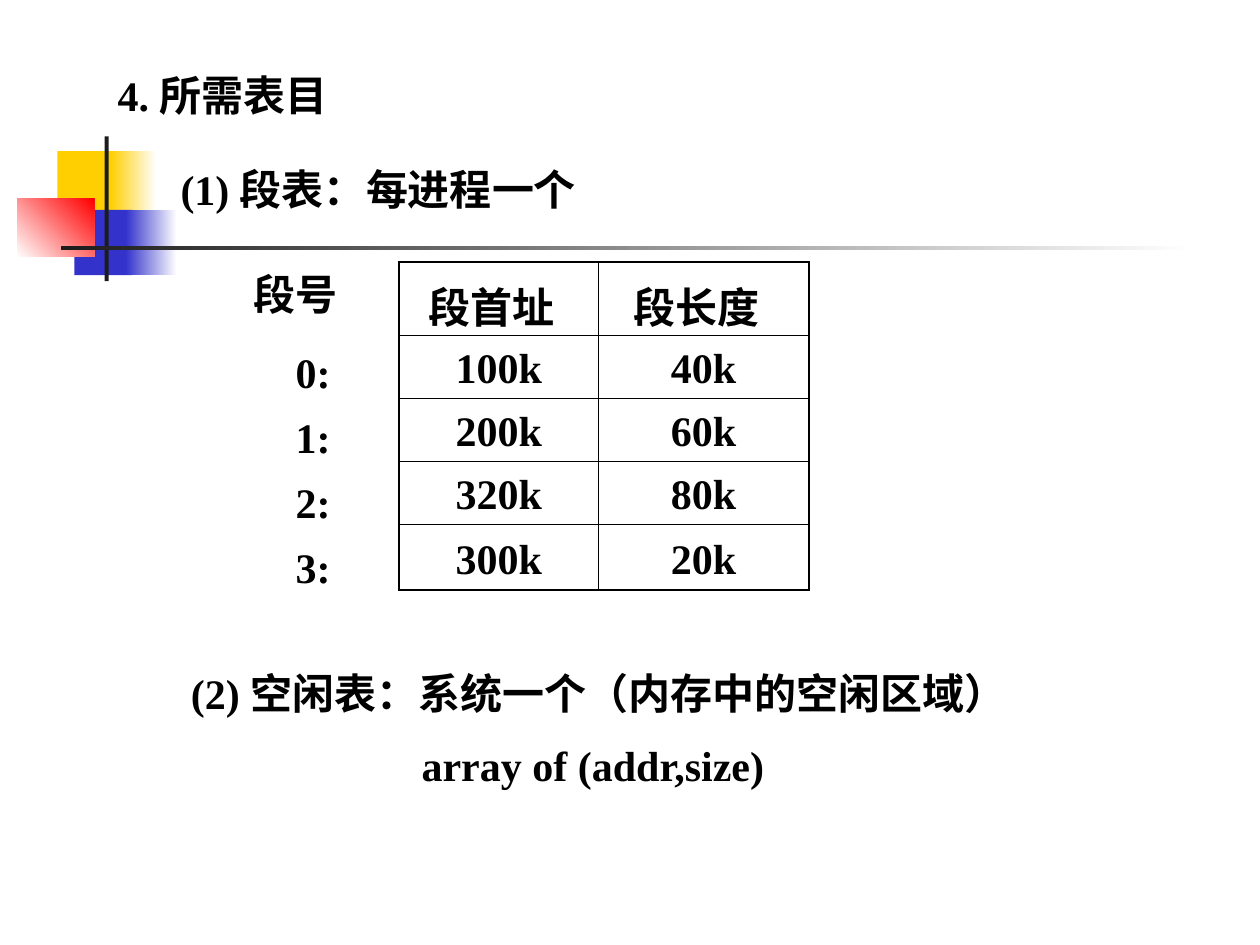
from typing import NamedTuple

from lxml import etree
from pptx import Presentation
from pptx import util as u
from pptx.dml.color import RGBColor
from pptx.enum import shapes, text
from pptx.oxml.ns import qn

FONT = "Times New Roman"
BLACK, WHITE = "000000", "FFFFFF"
YELLOW, BLUE, RED, CHARCOAL = "FFCF01", "3333CC", "FF0000", "1C1C1C"


class Block(NamedTuple):
    """A rectangle in cm; a second colour makes its fill a gradient."""
    left: float
    top: float
    width: float
    height: float
    start: str
    end: str | None = None
    angle: float = 0


class Passage(NamedTuple):
    """Lines of text in a box in cm; indents holds one value per line."""
    left: float
    top: float
    width: float
    height: float
    lines: list[str]
    indents: list[float]
    spacing: float = 1.0
    gap: float = 12


ORNAMENT = [
    Block(1.16, 3.05, 1.22, 1.32, YELLOW),
    Block(2.23, 3.05, 0.92, 1.32, YELLOW, WHITE),
    Block(1.5, 4.23, 1.17, 1.32, BLUE),
    Block(2.54, 4.23, 1.02, 1.32, BLUE, WHITE),
    Block(0.35, 4.01, 1.55, 1.17, WHITE, RED, 45),
    Block(2.11, 2.75, 0.08, 2.92, CHARCOAL),
    Block(1.23, 4.95, 22.86, 0.09, CHARCOAL, WHITE),
]

PASSAGES = [
    Passage(2.12, 1.27, 11, 1.27, ["4. 所需表目"], [0]),
    Passage(3.39, 3.18, 10.16, 1.27, ["(1) 段表：每进程一个"], [0]),
    Passage(4.87, 5.29, 2.97, 1.27, ["段号"], [0]),
    Passage(5.08, 7.06, 2.54, 5.03, [f"{n}:" for n in range(4)], [0.63] * 4, 0.8, 14),
    Passage(3.6, 13.34, 18.2, 2.82,
            ["(2) 空闲表：系统一个（内存中的空闲区域）", "array of (addr,size)"], [0, 4.65]),
]

SEGMENTS = [
    ("段首址", "段长度"),
    ("100k", "40k"),
    ("200k", "60k"),
    ("320k", "80k"),
    ("300k", "20k"),
]
COLUMN_WIDTHS = [4.03, 4.23]
ROW_HEIGHTS = [1.48, 1.27, 1.27, 1.27, 1.32]


def color(value: str) -> RGBColor:
    return RGBColor.from_string(value)


def style(paragraph) -> None:
    for run in paragraph.runs:
        run.font.name = FONT
        run.font.size = u.Pt(24)
        run.font.bold = True
        run.font.color.rgb = color(BLACK)


def draw_block(slide, block: Block) -> None:
    shape = slide.shapes.add_shape(shapes.MSO_SHAPE.RECTANGLE, *map(u.Cm, block[:4]))
    shape.shadow.inherit = False
    shape.line.fill.background()
    if block.end is None:
        shape.fill.solid()
        shape.fill.fore_color.rgb = color(block.start)
        return
    shape.fill.gradient()
    shape.fill.gradient_angle = block.angle
    for stop, value in zip(shape.fill.gradient_stops, (block.start, block.end)):
        stop.color.rgb = color(value)


def draw_passage(slide, passage: Passage) -> None:
    frame = slide.shapes.add_textbox(*map(u.Cm, passage[:4])).text_frame
    frame.word_wrap = True
    frame.text = "\n".join(passage.lines)
    for i, (paragraph, indent) in enumerate(zip(frame.paragraphs, passage.indents)):
        paragraph._p.get_or_add_pPr().set("marL", str(u.Cm(indent)))
        paragraph.line_spacing = passage.spacing
        if i:
            paragraph.space_before = u.Pt(passage.gap)
        style(paragraph)


def set_border(cell, side: str, points: float) -> None:
    """Add a black line on one side: L, R, T or B, called in that order."""
    line = etree.SubElement(cell._tc.get_or_add_tcPr(), qn(f"a:ln{side}"), w=str(u.Pt(points)))
    fill = etree.SubElement(line, qn("a:solidFill"))
    etree.SubElement(fill, qn("a:srgbClr"), val=BLACK)


def draw_segment_table(slide, left: float, top: float) -> None:
    rows, columns = len(SEGMENTS), len(COLUMN_WIDTHS)
    table = slide.shapes.add_table(
        rows, columns, u.Cm(left), u.Cm(top),
        u.Cm(sum(COLUMN_WIDTHS)), u.Cm(sum(ROW_HEIGHTS))).table
    table.first_row = table.horz_banding = False
    for column, width in zip(table.columns, COLUMN_WIDTHS):
        column.width = u.Cm(width)
    for r, (row, height) in enumerate(zip(table.rows, ROW_HEIGHTS)):
        row.height = u.Cm(height)
        for c, cell in enumerate(row.cells):
            header = r == 0
            cell.margin_left = cell.margin_top = 0
            cell.margin_right = u.Cm(0.3 if header else 0)
            cell.margin_bottom = u.Cm(0 if header else 0.13)
            cell.vertical_anchor = text.MSO_ANCHOR.BOTTOM
            outer = {"L": c == 0, "R": c == columns - 1, "T": header, "B": r == rows - 1}
            for side, is_outer in outer.items():
                set_border(cell, side, 1.25 if is_outer else 0.75)
            cell.fill.solid()
            cell.fill.fore_color.rgb = color(WHITE)
            cell.text_frame.text = SEGMENTS[r][c]
            paragraph = cell.text_frame.paragraphs[0]
            paragraph.alignment = text.PP_ALIGN.CENTER
            style(paragraph)


def main() -> None:
    deck = Presentation()
    deck.slide_width, deck.slide_height = u.Cm(25.4), u.Cm(19.05)
    slide = deck.slides.add_slide(deck.slide_layouts[6])
    for block in ORNAMENT:
        draw_block(slide, block)
    draw_segment_table(slide, 8.04, 5.29)
    for passage in PASSAGES:
        draw_passage(slide, passage)
    deck.save("out.pptx")


if __name__ == "__main__":
    main()
